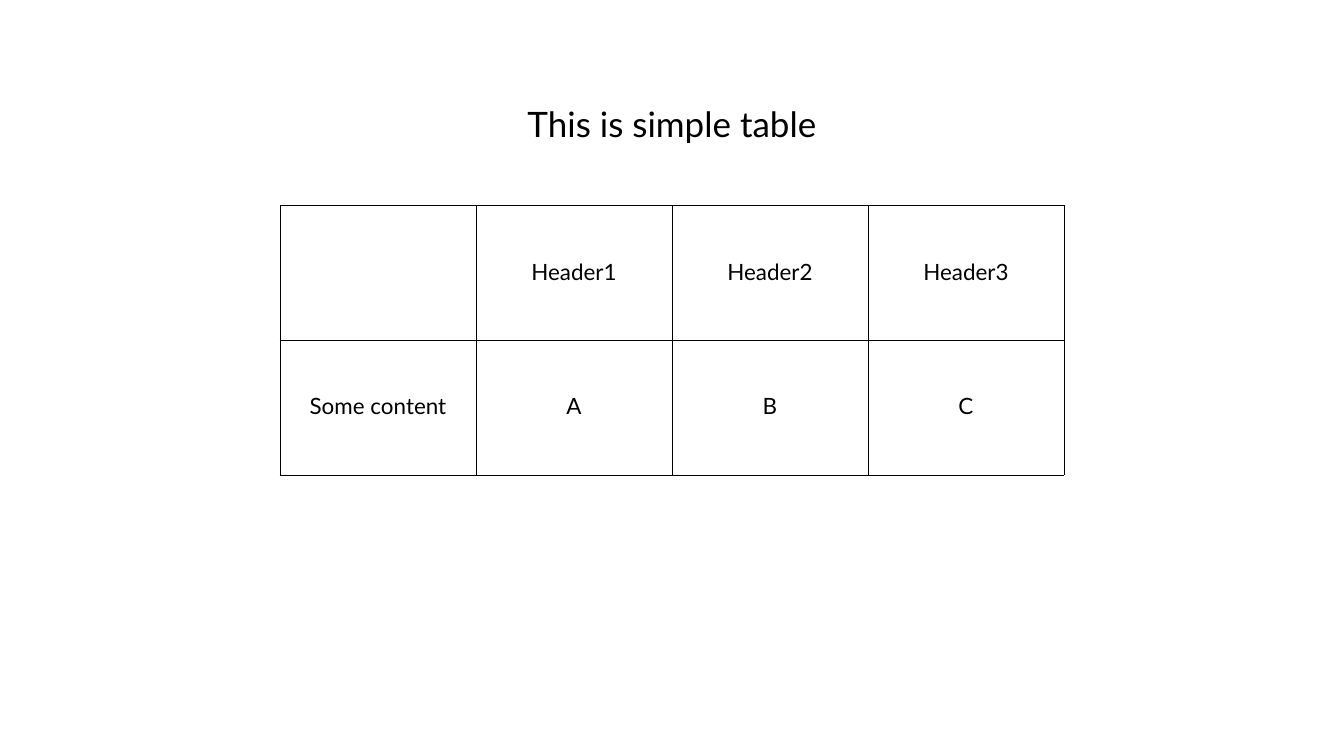
from lxml import etree
from pptx import Presentation
from pptx.dml.color import RGBColor
from pptx.enum import text as t
from pptx.oxml import ns
from pptx.util import Pt

FONT, INK, PAPER = "Lato", "000000", "FFFFFF"
ROWS = [["", "Header1", "Header2", "Header3"],
        ["Some content", "A", "B", "C"]]
INSET = {"margin_" + side: Pt(4) for side in ("left", "right", "top", "bottom")}
PARA = {"alignment": t.PP_ALIGN.CENTER, "line_spacing": 0.9}


def tint(item, code):
    """Give a fill or font colour its hex value."""
    item.rgb = RGBColor.from_string(code)


def assign(item, values):
    """Set each named attribute on the item."""
    for name, value in values.items():
        setattr(item, name, value)


def write(frame, words, size):
    """Put one centred line of text in a frame."""
    line = frame.paragraphs[0]
    assign(line, PARA)
    run = line.add_run()
    run.text = words
    assign(run.font, {"name": FONT, "size": Pt(size), "bold": False})
    tint(run.font.color, INK)


def border(cell):
    """Draw a thin line on all four sides of a cell."""
    props = cell._tc.get_or_add_tcPr()
    for spot, side in enumerate(("lnL", "lnR", "lnT", "lnB")):
        line = etree.Element(ns.qn("a:" + side), w=str(Pt(1)))
        fill = etree.SubElement(line, ns.qn("a:solidFill"))
        etree.SubElement(fill, ns.qn("a:srgbClr"), val=INK)
        props.insert(spot, line)


def heading(slide, box):
    """Place the slide title in its box."""
    title = slide.shapes.title
    assign(title, dict(zip(("left", "top", "width", "height"), map(Pt, box))))
    frame = title.text_frame
    assign(frame, {**INSET, "word_wrap": False,
                   "auto_size": t.MSO_AUTO_SIZE.NONE,
                   "vertical_anchor": t.MSO_ANCHOR.MIDDLE})
    write(frame, "This is simple table", 50)


def grid(slide, box, rows):
    """Place an evenly divided table in its box."""
    shape = slide.shapes.add_table(len(rows), len(rows[0]), *map(Pt, box))
    table = shape.table
    assign(table, {"first_row": False, "horz_banding": False})
    for col in table.columns:
        col.width = Pt(box[2] / len(rows[0]))
    for row, words in zip(table.rows, rows):
        row.height = Pt(box[3] / len(rows))
        for cell, word in zip(row.cells, words):
            assign(cell, {**INSET, "vertical_anchor": t.MSO_ANCHOR.MIDDLE})
            cell.fill.solid()
            tint(cell.fill.fore_color, PAPER)
            border(cell)
            if word:
                write(cell.text_frame, word, 32)


def build():
    """Make the slide and save it."""
    deck = Presentation()
    assign(deck, {"slide_width": Pt(1920), "slide_height": Pt(1080)})
    slide = deck.slides.add_slide(deck.slide_layouts[5])
    heading(slide, (738.5, 139, 443, 83.5))
    grid(slide, (400, 293.5, 1120, 385), ROWS)
    deck.save("out.pptx")


build()
